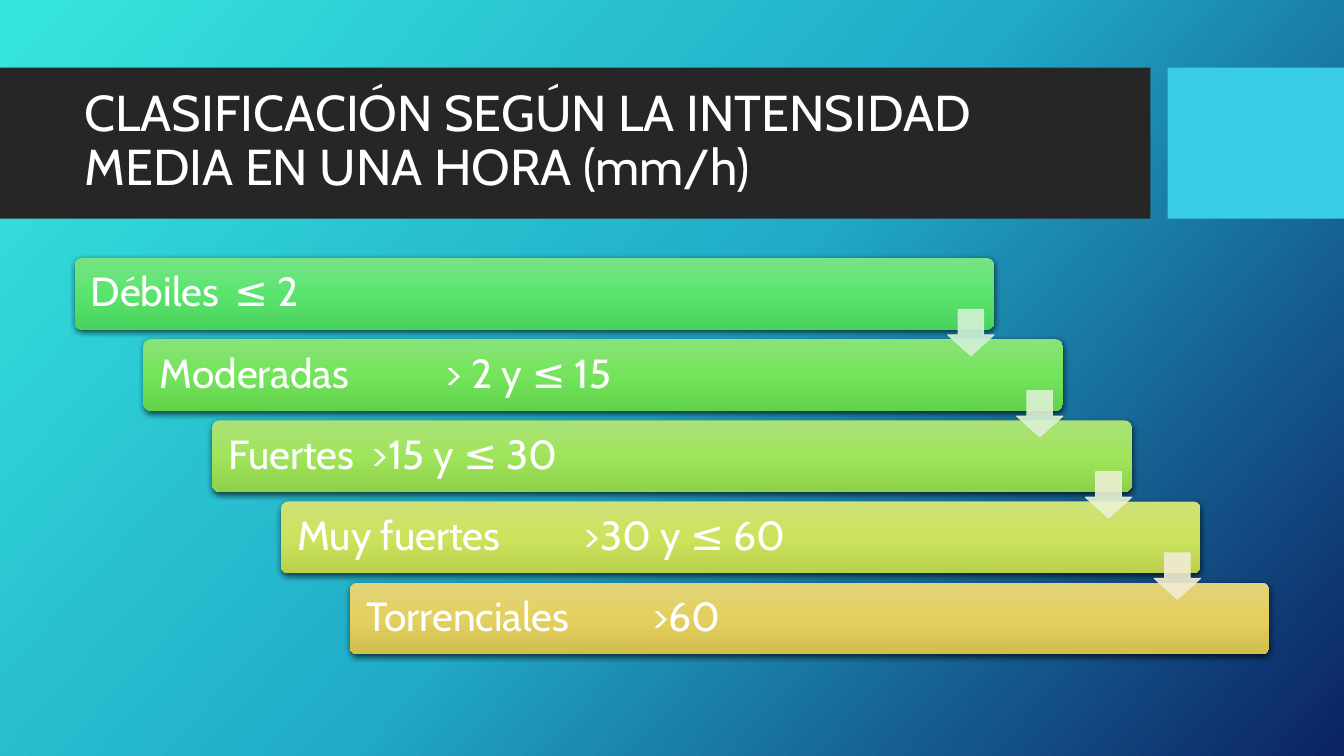
import pptx
import pptx.util
import pptx.dml.color
import pptx.enum.shapes
import pptx.enum.text
import pptx.oxml
import pptx.oxml.ns

Inches, Pt = pptx.util.Inches, pptx.util.Pt
RGB = pptx.dml.color.RGBColor
SHAPE = pptx.enum.shapes.MSO_SHAPE
MIDDLE = pptx.enum.text.MSO_ANCHOR.MIDDLE
qn = pptx.oxml.ns.qn

WIDTH, HEIGHT = 13.33, 7.5
FONT = "Cabin"
WHITE = RGB(0xFF, 0xFF, 0xFF)
BLACK = RGB(0, 0, 0)
CHARCOAL = RGB(0x26, 0x26, 0x26)
CYAN = RGB(0x39, 0xCD, 0xE7)
BACKDROP = RGB(0x36, 0xE6, 0xDD), RGB(0x21, 0xAB, 0xC8), RGB(0x0C, 0x22, 0x63)
TITLE = "CLASIFICACIÓN SEGÚN LA INTENSIDAD MEDIA EN UNA HORA (mm/h)"

# Class and range, bar gradient, colour of the arrow to the next bar
LEVELS = [
    ("Débiles\t≤ 2",
     (RGB(0x77, 0xE3, 0x85), RGB(0x5A, 0xE4, 0x6E), RGB(0x49, 0xD2, 0x5C)),
     RGB(0xD2, 0xF2, 0xD5)),
    ("Moderadas\t> 2 y ≤ 15",
     (RGB(0x89, 0xE3, 0x77), RGB(0x73, 0xE4, 0x5B), RGB(0x62, 0xD2, 0x4A)),
     RGB(0xDD, 0xF2, 0xD3)),
    ("Fuertes\t>15 y ≤ 30",
     (RGB(0xAB, 0xE2, 0x78), RGB(0xA0, 0xE4, 0x5C), RGB(0x8E, 0xD1, 0x4B)),
     RGB(0xEB, 0xF2, 0xD3)),
    ("Muy fuertes\t>30 y ≤ 60",
     (RGB(0xCE, 0xE2, 0x79), RGB(0xCB, 0xE3, 0x5D), RGB(0xB9, 0xD1, 0x4C)),
     RGB(0xF2, 0xEC, 0xD3)),
    ("Torrenciales\t>60",
     (RGB(0xE2, 0xD3, 0x7A), RGB(0xE3, 0xD0, 0x5E), RGB(0xD1, 0xBE, 0x4D)),
     None),
]


def add_node(parent, tag, **attributes):
    node = pptx.oxml.ns.qn(tag)
    child = parent.makeelement(node, {k: str(v) for k, v in attributes.items()})
    parent.append(child)
    return child


def fill_gradient(fill, owner, colors, angle):
    """Spread colors evenly, with the angle in clockwise degrees."""
    fill.gradient()
    fill.gradient_angle = 360 - angle
    stops = next(owner.iter(qn("a:gsLst")))
    for stop in list(stops):
        stops.remove(stop)
    for i, color in enumerate(colors):
        stop = add_node(stops, "a:gs", pos=100000 * i // (len(colors) - 1))
        add_node(stop, "a:srgbClr", val=color)


def add_plain_shape(slide, kind, box, color=None):
    shape = slide.shapes.add_shape(kind, *map(Inches, box))
    shape.shadow.inherit = False
    shape.line.fill.background()
    if color is not None:
        shape.fill.solid()
        shape.fill.fore_color.rgb = color
    return shape


def write(frame, text, size, inset):
    frame.word_wrap = True
    frame.vertical_anchor = MIDDLE
    frame.margin_left = frame.margin_right = Inches(inset)
    paragraph = frame.paragraphs[0]
    paragraph.alignment = pptx.enum.text.PP_ALIGN.LEFT
    paragraph.line_spacing = 0.9
    run = paragraph.add_run()
    run.text = text
    run.font.name, run.font.size = FONT, Pt(size)
    run.font.color.rgb = WHITE
    return paragraph


def draw_header(slide, top, height):
    band, gap = 11.41, 0.17
    add_plain_shape(slide, SHAPE.RECTANGLE, (0, top, band, height), CHARCOAL)
    accent = band + gap
    add_plain_shape(slide, SHAPE.RECTANGLE,
                    (accent, top, WIDTH - accent, height), CYAN)
    title = slide.shapes.add_textbox(*map(Inches, (0.74, top + 0.15, 10.51, 1.18)))
    write(title.text_frame, TITLE, 36, 0.1)


def draw_bar(slide, box, text, colors):
    bar = add_plain_shape(slide, SHAPE.ROUNDED_RECTANGLE, box)
    bar.adjustments[0] = 0.1
    fill_gradient(bar.fill, bar.element, colors, 90)
    shadow = add_node(next(bar.element.iter(qn("a:effectLst"))), "a:outerShdw",
                      blurRad=Pt(4.5), dist=Pt(1.5), dir=90 * 60000,
                      algn="ctr", rotWithShape=0)
    add_node(add_node(shadow, "a:srgbClr", val=BLACK), "a:alpha", val=63000)
    paragraph = write(bar.text_frame, text, 29, 0.14)
    tabs = add_node(next(paragraph.runs[0].font._element.iterancestors(qn("a:p")))
                    .get_or_add_pPr(), "a:tabLst")
    for stop in (1, 2):
        add_node(tabs, "a:tab", pos=Inches(1.42 * stop), algn="l")


def draw_arrow(slide, box, color):
    arrow = add_plain_shape(slide, SHAPE.DOWN_ARROW, box, color)
    arrow.adjustments[0], arrow.adjustments[1] = 0.55, 0.45
    arrow.line.color.rgb = color
    arrow.line.width = Pt(0.75)
    for paint in arrow.element.spPr.iter(qn("a:srgbClr")):
        add_node(paint, "a:alpha", val=90000)


def draw_staircase(slide, left, top, width, height):
    """Step the bars down to the right, an arrow at each bar's right end."""
    bar_width, bar_height, arrow_size = 9.12, 0.71, 0.46
    steps = len(LEVELS) - 1
    step_x = (width - bar_width) / steps
    step_y = (height - bar_height) / steps
    corners = [(left + i * step_x, top + i * step_y) for i in range(len(LEVELS))]
    for (x, y), (text, colors, _) in zip(corners, LEVELS):
        draw_bar(slide, (x, y, bar_width, bar_height), text, colors)
    for (x, y), (_, _, color) in zip(corners[:-1], LEVELS):
        draw_arrow(slide, (x + bar_width - arrow_size, y + 0.51,
                           arrow_size, arrow_size), color)


def main():
    deck = pptx.Presentation()
    deck.slide_width, deck.slide_height = Inches(WIDTH), Inches(HEIGHT)
    slide = deck.slides.add_slide(deck.slide_layouts[6])
    fill_gradient(slide.background.fill, slide.element, BACKDROP, 42)
    draw_header(slide, 0.67, 1.5)
    draw_staircase(slide, 0.74, 2.56, 11.85, 3.93)
    deck.save("out.pptx")


if __name__ == "__main__":
    main()
